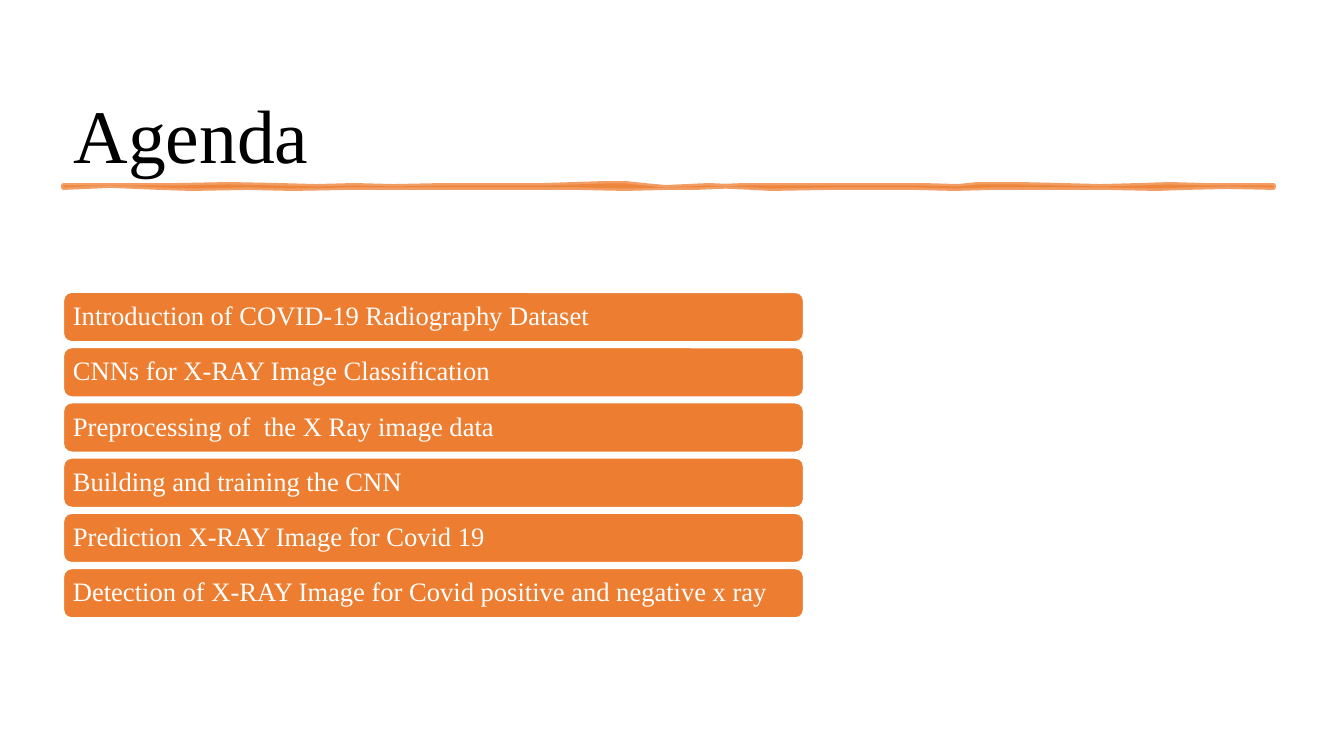
from lxml import etree
from pptx import Presentation
from pptx.dml.color import RGBColor
from pptx.enum.shapes import MSO_SHAPE as Shape
from pptx.enum.text import MSO_ANCHOR as Anchor, PP_ALIGN as Align
from pptx.oxml.ns import qn
from pptx.util import Inches, Pt

ORANGE = "ED7D31"
WHITE = "FFFFFF"
BLACK = "000000"
LEFT = 0.63
RIGHT = 12.63
STROKE_TOP = 1.84
STROKE_BOTTOM = 1.86
FIRST_BAR_TOP = 2.9
LAST_BAR_TOP = 5.64


def color(value):
    return RGBColor.from_string(value)


def write(shape, text, size, text_color, anchor, inset):
    frame = shape.text_frame
    frame.word_wrap = True
    frame.vertical_anchor = anchor
    frame.margin_left = frame.margin_right = Inches(inset)
    frame.margin_top = frame.margin_bottom = Inches(0.05)
    paragraph = frame.paragraphs[0]
    paragraph.text = text
    paragraph.alignment = Align.LEFT
    paragraph.line_spacing = 0.9
    paragraph.font.name = "Times New Roman"
    paragraph.font.size = Pt(size)
    paragraph.font.color.rgb = color(text_color)


presentation = Presentation()
presentation.slide_width = Inches(13.33)
presentation.slide_height = Inches(7.5)
slide = presentation.slides.add_slide(presentation.slide_layouts[6])

title = slide.shapes.add_textbox(Inches(LEFT), Inches(0.26), Inches(12.05), Inches(1.57))
write(title, "Agenda", 54, BLACK, Anchor.BOTTOM, 0.1)

top_edge = [
    (LEFT, STROKE_TOP), (1.02, 1.84), (1.4, 1.84), (1.77, 1.84), (2.27, 1.83),
    (2.76, 1.84), (3.14, 1.85), (3.51, 1.84), (3.9, 1.85), (4.41, 1.84),
    (5.4, 1.84), (5.7, 1.83), (6.0, 1.82), (6.2, 1.82), (6.39, 1.84),
    (6.6, 1.86), (6.9, 1.86), (7.38, 1.84), (8.52, 1.84), (9.15, 1.84),
    (9.5, 1.85), (9.7, 1.83), (10.1, 1.83), (10.53, 1.84), (10.92, 1.85),
    (11.31, 1.84), (11.6, 1.83), (11.94, 1.84), (RIGHT, STROKE_TOP),
]
bottom_edge = [
    (RIGHT, STROKE_BOTTOM), (12.18, 1.85), (11.76, 1.86), (11.47, 1.87),
    (10.98, 1.86), (10.6, 1.86), (10.23, 1.86), (9.84, 1.86), (9.46, 1.87),
    (9.09, 1.86), (8.22, 1.86), (7.65, 1.87), (7.47, 1.86), (7.03, 1.84),
    (6.6, 1.86), (6.2, 1.87), (5.73, 1.86), (5.34, 1.86), (4.83, 1.86),
    (4.2, 1.86), (3.45, 1.86), (2.9, 1.87), (2.46, 1.86), (1.9, 1.87),
    (1.59, 1.86), (1.1, 1.84), (LEFT, STROKE_BOTTOM),
]
stroke_points = [(Inches(x), Inches(y)) for x, y in top_edge + bottom_edge]
builder = slide.shapes.build_freeform(*stroke_points[0])
builder.add_line_segments(stroke_points[1:], close=True)
brush_stroke = builder.convert_to_shape()
brush_stroke.shadow.inherit = False
brush_stroke.fill.solid()
brush_stroke.fill.fore_color.rgb = color(ORANGE)
brush_stroke.line.color.rgb = color(ORANGE)
brush_stroke.line.width = Pt(3.5)
for color_element in brush_stroke.element.spPr.iter(qn("a:srgbClr")):
    etree.SubElement(color_element, qn("a:alpha"), val="75000")
line_element = brush_stroke.element.spPr.find(qn("a:ln"))
etree.SubElement(line_element, qn("a:round"))

topics = [
    "Introduction of COVID-19 Radiography Dataset",
    "CNNs for X-RAY Image Classification",
    "Preprocessing of  the X Ray image data",
    "Building and training the CNN",
    "Prediction X-RAY Image for Covid 19",
    "Detection of X-RAY Image for Covid positive and negative x ray",
]
bar_pitch = (LAST_BAR_TOP - FIRST_BAR_TOP) / (len(topics) - 1)
for index, topic in enumerate(topics):
    bar_top = FIRST_BAR_TOP + bar_pitch * index
    bar = slide.shapes.add_shape(
        Shape.ROUNDED_RECTANGLE, Inches(LEFT), Inches(bar_top), Inches(7.34), Inches(0.49)
    )
    bar.shadow.inherit = False
    bar.fill.solid()
    bar.fill.fore_color.rgb = color(ORANGE)
    bar.line.color.rgb = color(WHITE)
    bar.line.width = Pt(1)
    write(bar, topic, 19, WHITE, Anchor.MIDDLE, 0.07)

presentation.save("out.pptx")
